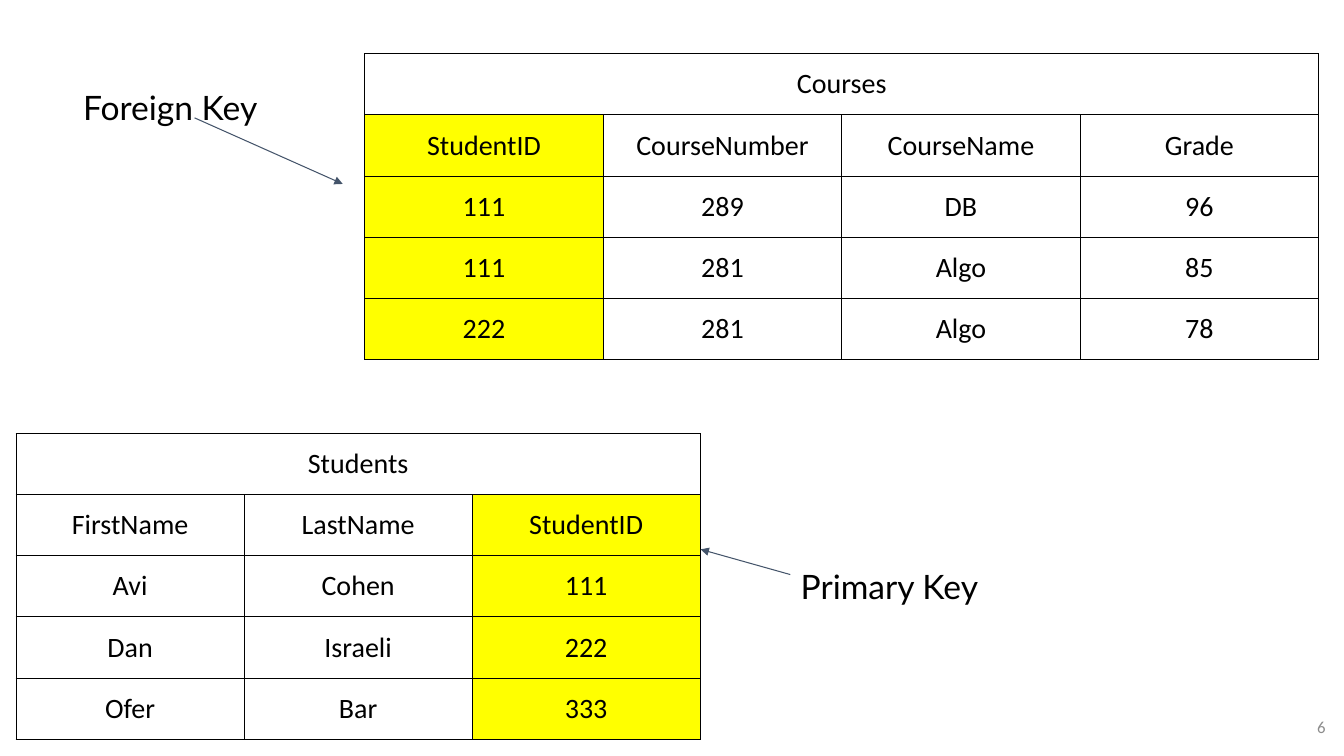
from lxml import etree
from pptx import Presentation
from pptx.dml.color import RGBColor
from pptx.enum.shapes import MSO_CONNECTOR
from pptx.enum.text import MSO_ANCHOR, PP_ALIGN
from pptx.oxml import parse_xml
from pptx.oxml.ns import nsdecls, qn
from pptx.util import Pt

LEFT, CENTER, RIGHT = PP_ALIGN.LEFT, PP_ALIGN.CENTER, PP_ALIGN.RIGHT
TOP, MIDDLE = MSO_ANCHOR.TOP, MSO_ANCHOR.MIDDLE
STRAIGHT = MSO_CONNECTOR.STRAIGHT

THEME = {
    "ink": RGBColor(0, 0, 0),
    "key": RGBColor(0xFF, 0xFF, 0),
    "arrow": RGBColor(0x44, 0x54, 0x6A),
    "muted": RGBColor(0x8C, 0x8C, 0x8C),
    "border": "000000",
    "table_font": "Calibri", "label_font": "Lato",
    "table_size": 20, "label_size": 24, "number_size": 12,
}
ROW_HEIGHT = 43.6
INSET = 9.6
SIDES = ("left", "right", "top", "bottom")


def write(frame, text, font, size, color, align):
    paragraph = frame.paragraphs[0]
    paragraph.alignment = align
    run = paragraph.add_run()
    run.text = text
    formats = {"name": font, "size": Pt(size)}
    for attribute, value in formats.items():
        setattr(run.font, attribute, value)
    run.font.color.rgb = color


prs = Presentation()
prs.slide_width, prs.slide_height = Pt(960), Pt(540)
slide = prs.slides.add_slide(prs.slide_layouts[6])

# Relations: title, left, top, column width, key column, rows
relations = [
    ("Students", 11.5, 309.6, 162.9, 2, [
        ("FirstName", "LastName", "StudentID"),
        ("Avi", "Cohen", "111"),
        ("Dan", "Israeli", "222"),
        ("Ofer", "Bar", "333"),
    ]),
    ("Courses", 260.6, 38.4, 170.35, 0, [
        ("StudentID", "CourseNumber", "CourseName", "Grade"),
        ("111", "289", "DB", "96"),
        ("111", "281", "Algo", "85"),
        ("222", "281", "Algo", "78"),
    ]),
]
for title, left, top, column_width, key_column, records in relations:
    columns = len(records[0])
    rows = [(title,) + ("",) * (columns - 1)] + records
    relation = slide.shapes.add_table(
        len(rows), columns, Pt(left), Pt(top),
        Pt(column_width * columns), Pt(ROW_HEIGHT * len(rows))).table
    relation.first_row = relation.horz_banding = False
    for column in relation.columns:
        column.width = Pt(column_width)
    relation.cell(0, 0).merge(relation.cell(0, columns - 1))
    for r, record in enumerate(rows):
        relation.rows[r].height = Pt(ROW_HEIGHT)
        for c, value in enumerate(record):
            cell = relation.cell(r, c)
            for side in SIDES:
                setattr(cell, f"margin_{side}", Pt(INSET))
            properties = cell._tc.get_or_add_tcPr()
            for edge in "LRTB":
                properties.append(parse_xml(
                    f'<a:ln{edge} {nsdecls("a")} w="{Pt(0.75)}"><a:solidFill>'
                    f'<a:srgbClr val="{THEME["border"]}"/></a:solidFill></a:ln{edge}>'))
            if r > 0 and c == key_column:
                cell.fill.solid()
                cell.fill.fore_color.rgb = THEME["key"]
            else:
                cell.fill.background()
            if value:
                write(cell.text_frame, value, THEME["table_font"],
                      THEME["table_size"], THEME["ink"], CENTER)

# Key labels and slide number: text, box, inset, anchor, font, size, colour, alignment
label_style = (INSET, TOP, THEME["label_font"], THEME["label_size"], THEME["ink"], LEFT)
number_style = (7.2, MIDDLE, THEME["table_font"], THEME["number_size"], THEME["muted"], RIGHT)
captions = [
    ("Primary Key", (562.3, 394.6, 179.3, 31.7), label_style),
    ("Foreign Key", (49.7, 52.6, 179.3, 31.7), label_style),
    ("6", (896.4, 499, 57.6, 41), number_style),
]
for text, box, (inset, anchor, font, size, color, align) in captions:
    frame = slide.shapes.add_textbox(*map(Pt, box)).text_frame
    formats = {"word_wrap": True, "vertical_anchor": anchor}
    formats.update({f"margin_{side}": Pt(inset) for side in SIDES})
    for attribute, value in formats.items():
        setattr(frame, attribute, value)
    write(frame, text, font, size, color, align)

# Arrows from the labels to the key columns
key_arrows = [(564.5, 410.4, 500.4, 392.4), (139, 84.2, 244.8, 131.4)]
for ends in key_arrows:
    arrow = slide.shapes.add_connector(STRAIGHT, *map(Pt, ends))
    arrow.line.color.rgb = THEME["arrow"]
    arrow.line.width = Pt(0.75)
    etree.SubElement(arrow.line._get_or_add_ln(), qn("a:tailEnd"), type="triangle")
    etree.SubElement(arrow._element.spPr, qn("a:effectLst"))

prs.save("out.pptx")
